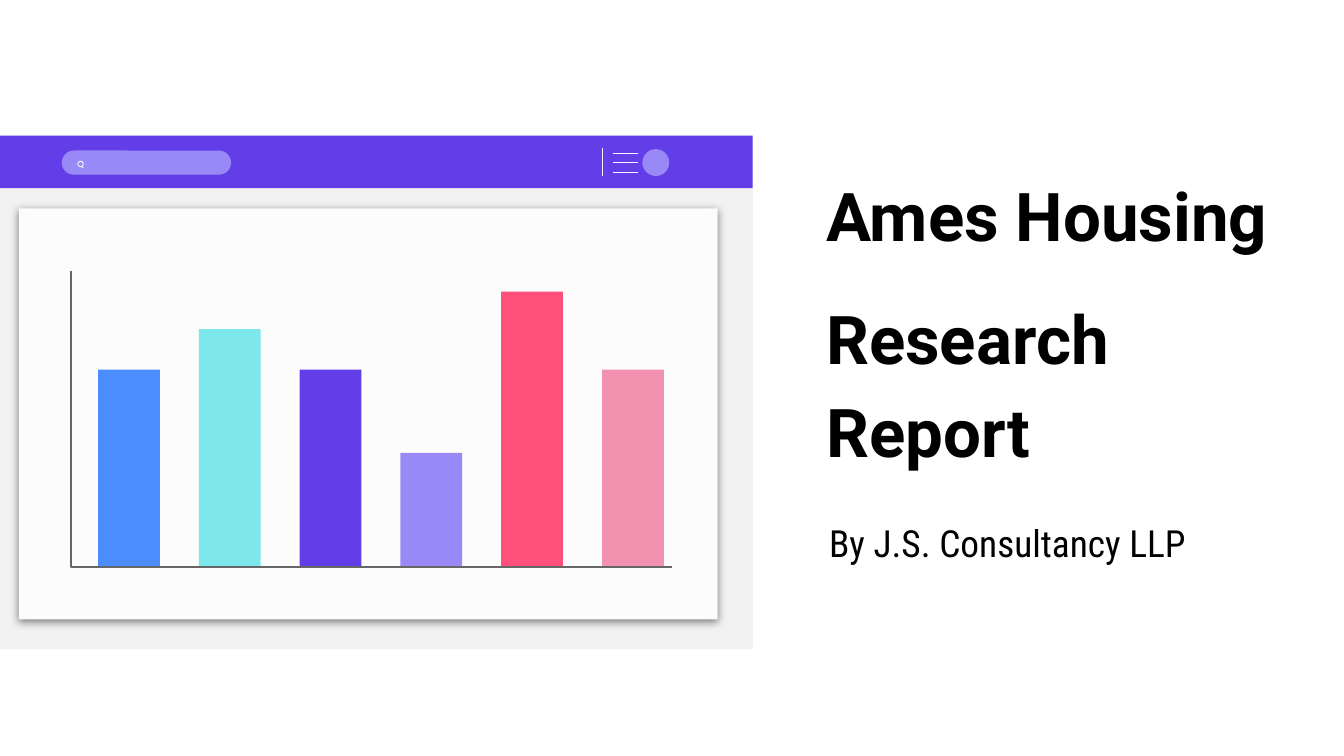
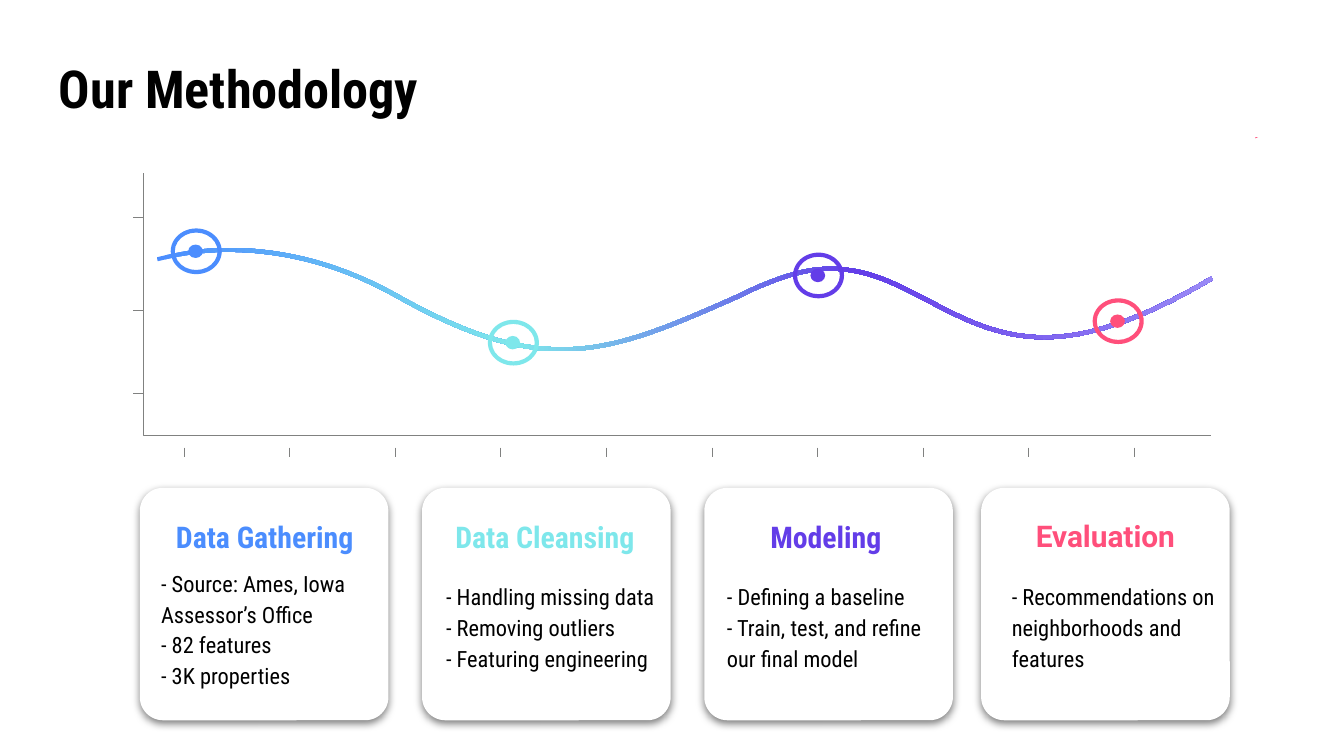
from math import hypot

from lxml.etree import SubElement
from pptx import Presentation
from pptx.dml.color import RGBColor
from pptx.enum.shapes import MSO_CONNECTOR, MSO_SHAPE as SHAPE
from pptx.enum.text import PP_ALIGN as ALIGN
from pptx.oxml.ns import qn
from pptx.util import Inches, Pt

BLACK = RGBColor(0x00, 0x00, 0x00)
WHITE = RGBColor(0xFF, 0xFF, 0xFF)
PAPER = RGBColor(0xFD, 0xFC, 0xFD)
PALE = RGBColor(0xF6, 0xF5, 0xFB)
MIST = RGBColor(0xF1, 0xF1, 0xF1)
GREY = RGBColor(0x80, 0x81, 0x80)
DARK = RGBColor(0x66, 0x66, 0x66)
BLUE = RGBColor(0x4B, 0x8D, 0xFE)
CYAN = RGBColor(0x7E, 0xE7, 0xEB)
VIOLET = RGBColor(0x63, 0x3D, 0xE8)
LILAC = RGBColor(0x99, 0x89, 0xF6)
RED = RGBColor(0xFF, 0x4F, 0x7B)
PINK = RGBColor(0xF2, 0x91, 0xB0)

SANS, CONDENSED = "Roboto", "Roboto Condensed"
COVER = {"name": SANS, "size": Pt(36), "bold": True}
BYLINE = {"name": CONDENSED, "size": Pt(20)}
TITLE = {"name": CONDENSED, "size": Pt(28), "bold": True}
HEADING = {"name": CONDENSED, "size": Pt(16), "bold": True}
BODY = {"name": CONDENSED, "size": Pt(12)}
SPACED = {"line_spacing": 1.15}
AFTER = {**SPACED, "space_after": Pt(16)}
CENTRED = {**AFTER, "alignment": ALIGN.CENTER}
FRAME = {"word_wrap": True, "margin_left": Inches(0.1), "margin_right": Inches(0.1),
         "margin_top": Inches(0.1), "margin_bottom": Inches(0.1)}

BARS = [(1.47, BLUE), (1.77, CYAN), (1.47, VIOLET), (0.85, LILAC), (2.05, RED), (1.47, PINK)]
BAR_LEFT, BAR_STEP, BAR_WIDTH, BAR_BASE = 0.73, 0.75, 0.46, 4.22

CURVE_START = (1.17, 1.93)
CURVE = [
    ((1.29, 1.9), (1.47, 1.86), (1.7, 1.86)),
    ((2.03, 1.86), (2.46, 1.93), (2.93, 2.19)),
    ((3.46, 2.49), (3.83, 2.6), (4.18, 2.6)),
    ((4.58, 2.6), (4.94, 2.45), (5.46, 2.22)),
    ((5.53, 2.19), (5.6, 2.15), (5.68, 2.12)),
    ((5.87, 2.04), (6.03, 2), (6.18, 2)),
    ((6.46, 2), (6.68, 2.12), (6.91, 2.24)),
    ((7.16, 2.37), (7.42, 2.51), (7.77, 2.51)),
    ((8.09, 2.51), (8.48, 2.39), (9.02, 2.07)),
]
CURVE_WIDTH = 0.03
CURVE_STOPS = [(0, BLUE), (34, CYAN), (66, VIOLET), (100, LILAC)]
MARKERS = [(1.46, 1.87, BLUE), (3.82, 2.55, CYAN), (6.09, 2.05, VIOLET), (8.32, 2.39, RED)]

CARDS = [
    {"left": 1.04, "title": "Data Gathering", "title_at": (1.16, 3.72, 1.62, 0.42),
     "color": BLUE, "font": CONDENSED, "body_at": (1.1, 4.11, 1.78, 0.89),
     "body": "- Source: Ames, Iowa Assessor’s Office\n- 82 features\n- 3K properties"},
    {"left": 3.14, "title": "Data Cleansing", "title_at": (3.13, 3.72, 1.85, 0.42),
     "color": CYAN, "font": CONDENSED, "body_at": (3.22, 4.21, 1.85, 0.69),
     "body": "- Handling missing data\n- Removing outliers\n- Featuring engineering"},
    {"left": 5.24, "title": "Modeling", "title_at": (5.45, 3.72, 1.39, 0.42),
     "color": VIOLET, "font": CONDENSED, "body_at": (5.31, 4.21, 1.85, 0.69),
     "body": "- Defining a baseline\n- Train, test, and refine our final model"},
    {"left": 7.3, "title": "Evaluation", "title_at": (7.53, 3.71, 1.39, 0.42),
     "color": RED, "font": SANS, "body_at": (7.43, 4.21, 1.85, 0.69),
     "body": "- Recommendations on neighborhoods and features"},
]


def set_all(target, values):
    for name, value in values.items():
        setattr(target, name, value)


def add_text(s, at, paragraphs, font, color=BLACK):
    tf = s.shapes.add_textbox(*map(Inches, at)).text_frame
    set_all(tf, FRAME)
    for i, (text, layout) in enumerate(paragraphs):
        p = tf.add_paragraph() if i else tf.paragraphs[0]
        p.text = text
        set_all(p, layout)
        for r in p.runs:
            set_all(r.font, font)
            r.font.color.rgb = color


def paint(sp, fill=None, line=None, width=0.5):
    sp.shadow.inherit = False
    if fill is None:
        sp.fill.background()
    else:
        sp.fill.solid()
        sp.fill.fore_color.rgb = fill
    if line is None:
        sp.line.fill.background()
    else:
        sp.line.color.rgb = line
        sp.line.width = Pt(width)
    return sp


def add_shape(s, kind, at, fill=None, line=None, adj=None):
    sp = s.shapes.add_shape(kind, *map(Inches, at))
    if adj is not None:
        sp.adjustments[0] = adj
    return paint(sp, fill, line)


def add_line(s, x1, y1, x2, y2, color):
    ln = s.shapes.add_connector(MSO_CONNECTOR.STRAIGHT, *map(Inches, (x1, y1, x2, y2)))
    ln.line.color.rgb = color
    ln.line.width = Pt(0.5)
    SubElement(ln._element.spPr, qn("a:effectLst"))


def add_free(s, points, close=True):
    first, *rest = [(Inches(x), Inches(y)) for x, y in points]
    fb = s.shapes.build_freeform(*first)
    fb.add_line_segments(rest, close=close)
    return fb.convert_to_shape()


def add_shadow(sp):
    effects = sp._element.spPr.find(qn("a:effectLst"))
    shadow = SubElement(effects, qn("a:outerShdw"), blurRad=str(Pt(4.5)),
                        dist=str(Pt(1.5)), dir="5400000", algn="bl", rotWithShape="0")
    color = SubElement(shadow, qn("a:srgbClr"), val=str(BLACK))
    SubElement(color, qn("a:alpha"), val="50000")


def add_gradient(sp, stops):
    sp.fill.gradient()
    sp.fill.gradient_angle = 0
    gs_list = sp._element.spPr.find(qn("a:gradFill")).find(qn("a:gsLst"))
    for gs in list(gs_list):
        gs_list.remove(gs)
    for pos, color in stops:
        gs = SubElement(gs_list, qn("a:gs"), pos=str(pos * 1000))
        SubElement(gs, qn("a:srgbClr"), val=str(color))


def sample_curve(start, segments, steps=16):
    points = [start]
    for b, c, d in segments:
        a = points[-1]
        for i in range(1, steps + 1):
            t = i / steps
            u = 1 - t
            weights = (u ** 3, 3 * u * u * t, 3 * u * t * t, t ** 3)
            points.append(tuple(sum(w * q[k] for w, q in zip(weights, (a, b, c, d)))
                                for k in (0, 1)))
    return points


def ribbon(points, width):
    upper, lower = [], []
    last = len(points) - 1
    for i, (x, y) in enumerate(points):
        (x1, y1), (x2, y2) = points[max(i - 1, 0)], points[min(i + 1, last)]
        scale = width / 2 / hypot(x2 - x1, y2 - y1)
        dx, dy = (y2 - y1) * scale, (x1 - x2) * scale
        upper.append((x + dx, y + dy))
        lower.append((x - dx, y - dy))
    return upper + lower[::-1]


def build_cover(s):
    add_text(s, (6.05, 1.11, 3.6, 2.44),
             [("Ames Housing", SPACED), ("Research Report", {**AFTER, "space_before": Pt(16)})],
             COVER)
    add_text(s, (6.07, 3.72, 3.35, 0.97), [("By J.S. Consultancy LLP", AFTER)], BYLINE)

    add_shape(s, SHAPE.RECTANGLE, (0, 1.01, 5.6, 3.82), MIST)
    add_shape(s, SHAPE.RECTANGLE, (0, 1.01, 5.6, 0.39), VIOLET)
    add_shadow(add_shape(s, SHAPE.RECTANGLE, (0.14, 1.55, 5.2, 3.06), PAPER))

    add_shape(s, SHAPE.ROUNDED_RECTANGLE, (0.46, 1.12, 1.26, 0.18), LILAC, adj=0.5)
    add_shape(s, SHAPE.OVAL, (0.58, 1.2, 0.04, 0.04), line=PALE)
    add_line(s, 0.61, 1.24, 0.62, 1.25, PALE)
    add_line(s, 4.48, 1.1, 4.48, 1.31, PALE)
    for i in range(3):
        y = 1.14 + 0.07 * i
        add_line(s, 4.56, y, 4.75, y, PALE)
    add_shape(s, SHAPE.OVAL, (4.78, 1.11, 0.2, 0.2), LILAC)

    for i, (height, color) in enumerate(BARS):
        at = (BAR_LEFT + i * BAR_STEP, BAR_BASE - height, BAR_WIDTH, height)
        add_shape(s, SHAPE.RECTANGLE, at, color)
    axes = add_free(s, [(0.53, 2.02), (0.53, BAR_BASE), (5, BAR_BASE)], close=False)
    paint(axes, line=DARK, width=1)


def build_methodology(s):
    add_text(s, (0.34, 0.32, 9.32, 0.7), [("Our Methodology", {})], TITLE)
    paint(add_free(s, [(9.34, 1.02), (9.34, 1.03), (9.36, 1.02)]), RED)

    axes = add_free(s, [(1.07, 1.29), (1.07, 3.24), (9.01, 3.24)], close=False)
    paint(axes, line=GREY)
    for i in range(10):
        x = 1.37 + i * (8.44 - 1.37) / 9
        add_line(s, x, 3.33, x, 3.4, GREY)
    for y in (1.62, 2.31, 2.93):
        add_line(s, 0.99, y, 1.07, y, GREY)

    curve = paint(add_free(s, ribbon(sample_curve(CURVE_START, CURVE), CURVE_WIDTH)))
    add_gradient(curve, CURVE_STOPS)
    for x, y, color in MARKERS:
        add_shape(s, SHAPE.OVAL, (x - 0.06, y - 0.05, 0.11, 0.1), color)
        add_shape(s, SHAPE.DONUT, (x - 0.19, y - 0.17, 0.38, 0.34), color, adj=0.09)

    for card in CARDS:
        at = (card["left"], 3.63, 1.85, 1.73)
        add_shadow(add_shape(s, SHAPE.ROUNDED_RECTANGLE, at, WHITE, adj=0.1))
        add_text(s, card["title_at"], [(card["title"], CENTRED)],
                 {**HEADING, "name": card["font"]}, card["color"])
        add_text(s, card["body_at"], [(card["body"], SPACED)], BODY)


def main():
    prs = Presentation()
    prs.slide_width, prs.slide_height = Inches(10), Inches(10 * 9 / 16)
    for build in (build_cover, build_methodology):
        build(prs.slides.add_slide(prs.slide_layouts[6]))
    prs.save("out.pptx")


if __name__ == "__main__":
    main()
